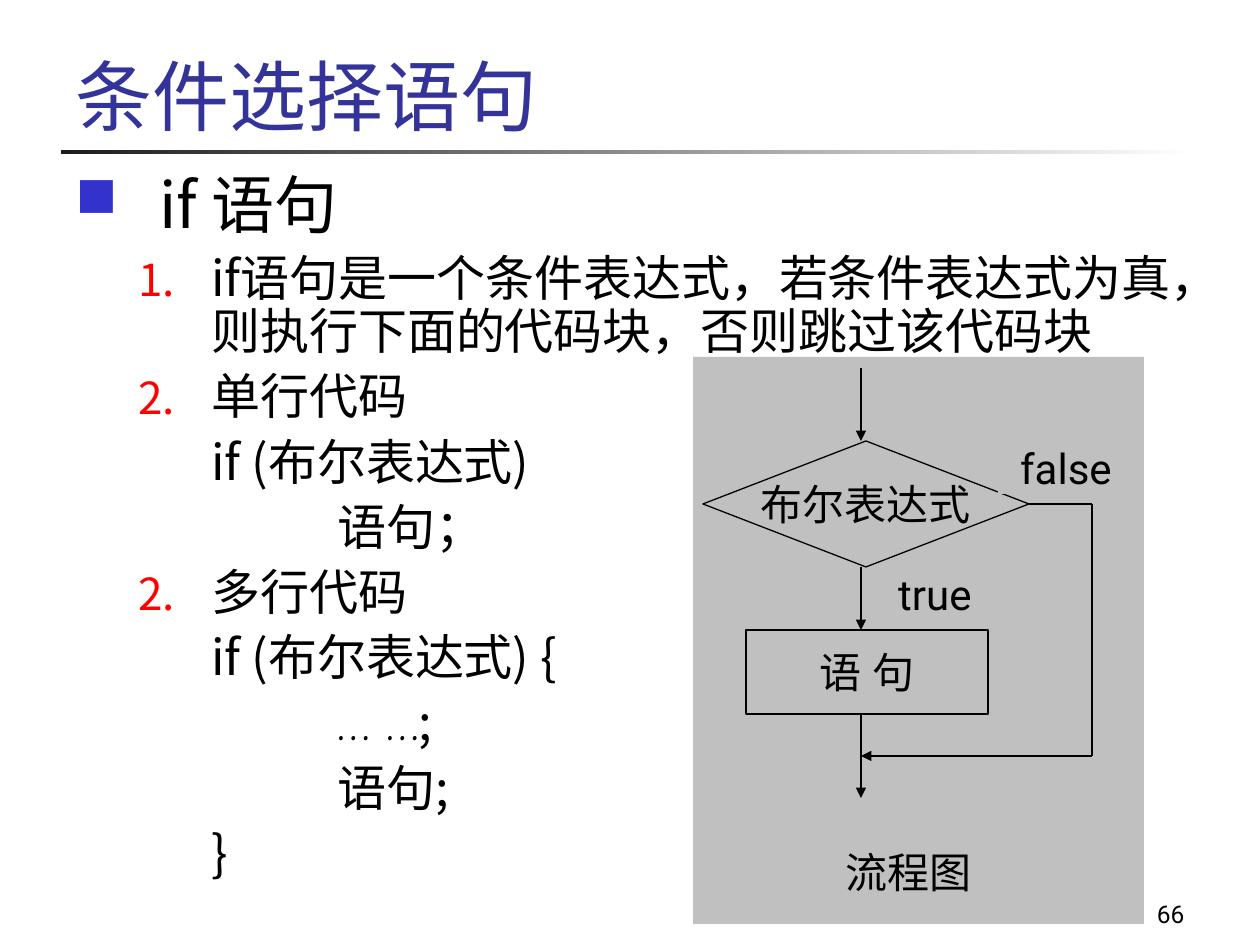
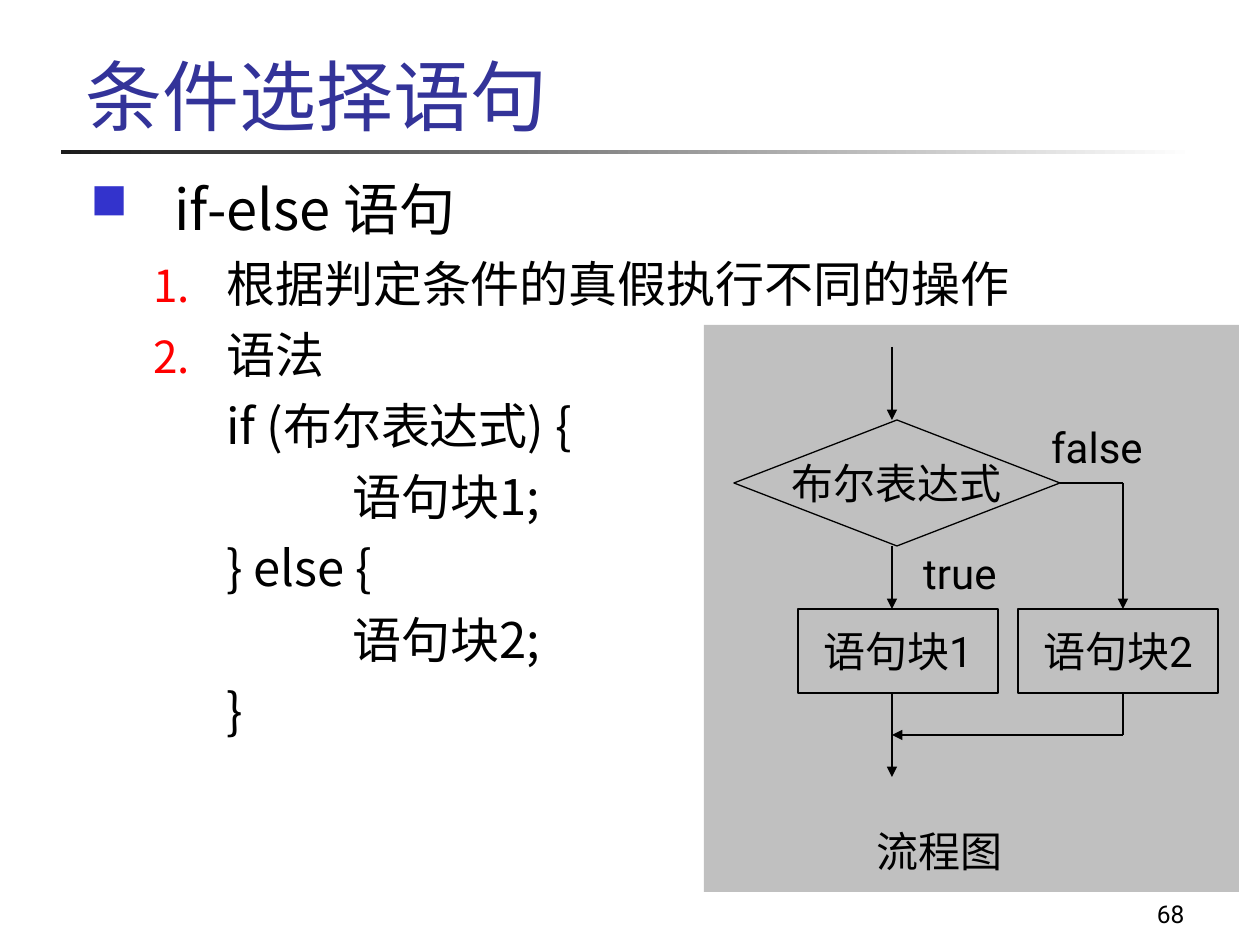
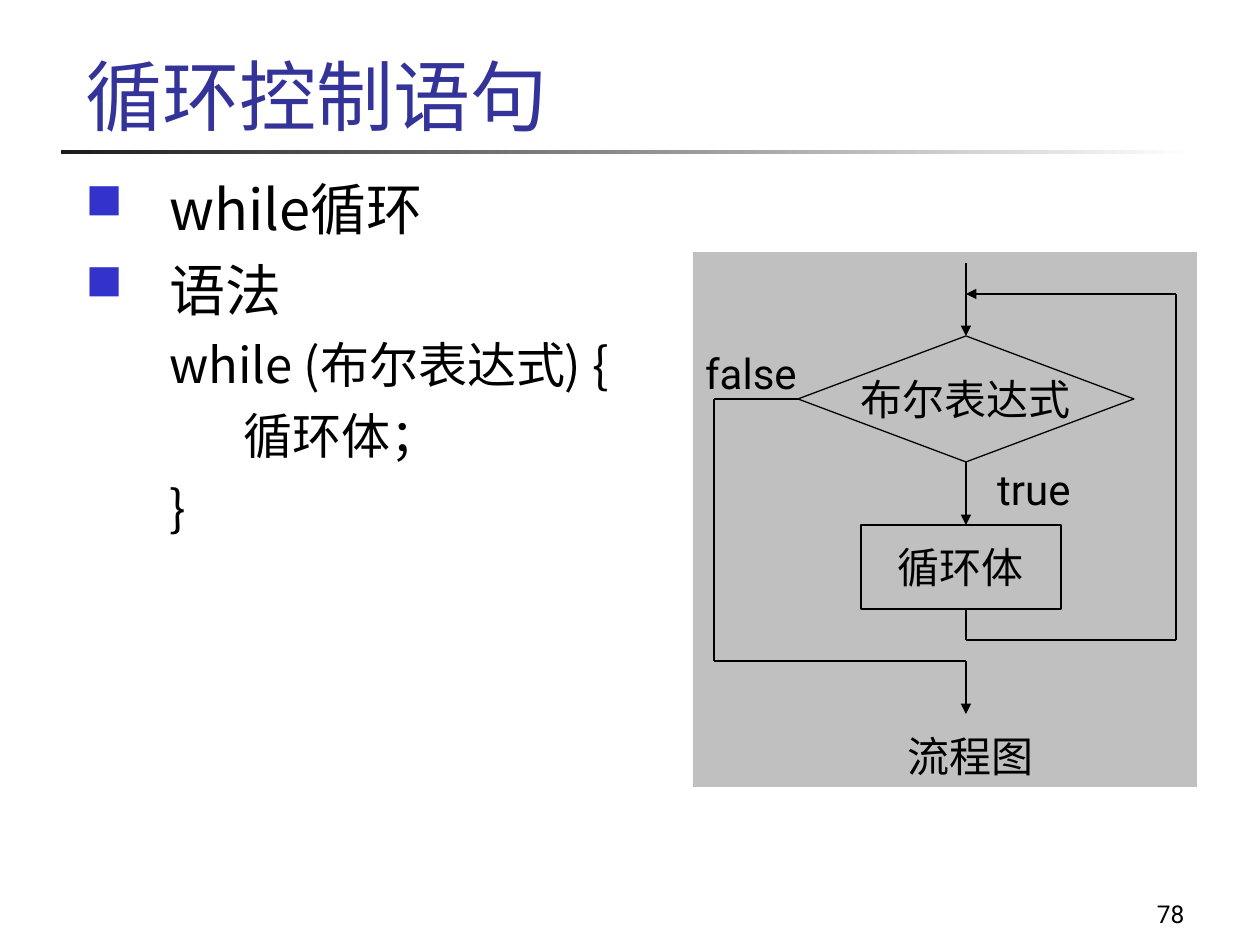
"""Build three slides on conditional and loop statements, each with a flowchart."""
import lxml.etree
import pptx
import pptx.dml.color
import pptx.enum.shapes
import pptx.enum.text
import pptx.oxml.ns
import pptx.util

PIXEL = 914400 // 126
BODY_FONT, LABEL_FONT, DOTS_FONT = "Noto Sans CJK JP", "Roboto", "Comic Neue"
BLACK, TITLE_BLUE, BULLET_BLUE, RED = "000000", "333399", "3333CC", "FF0000"
PANEL_GRAY, RULE_DARK, WHITE = "C0C0C0", "1C1C1C", "FFFFFF"
RECTANGLE = pptx.enum.shapes.MSO_SHAPE.RECTANGLE
DIAMOND = pptx.enum.shapes.MSO_SHAPE.DIAMOND
ALIGN = pptx.enum.text.PP_ALIGN
ANCHOR = pptx.enum.text.MSO_ANCHOR

DOTS = "… …"
DIAMOND_HEIGHT, STEP_TOP, STEP_HEIGHT, LABEL_HEIGHT = 126, 189, 84, 53

# style: (level, left margin, first line indent, bullet)
STYLES = {
    "head": (0, 84, -84, "square"),
    "item": (1, 136, -73, "number"),
    "code": (1, 136, 0, None),
    "inner": (1, 262, 0, None),
    "loop": (1, 84, 0, None),
    "loop inner": (1, 158, 0, None),
}

SLIDES = [
    {
        "title": "条件选择语句", "title_left": 63, "page": "66",
        "body_box": (63, 168, 1144, 746), "head_size": 36, "spacing": 0.9,
        "body": [
            ("head", ["if 语句"]),
            ("item", ["if语句是一个条件表达式，若条件表达式为真，则执行下面的代码块，否则跳过该代码块"]),
            ("item", ["单行代码"]),
            ("code", ["if (布尔表达式) "]),
            ("inner", ["语句；"]),
            ("item", ["多行代码"], 2),
            ("code", ["if (布尔表达式) {"]),
            ("inner", [DOTS, ";"]),
            ("inner", ["语句;"]),
            ("code", ["}"]),
        ],
        "chart": {
            "panel": (693, 357, 451, 567), "axis": 861, "top": 441, "fill": PANEL_GRAY,
            "diamond": (-158, 326), "steps": [("语 句", -115, 242)],
            "labels": [("false", 137, 0, 136), ("true", 11, 126, 126), ("流程图", -73, 399, 242)],
            "routes": [
                [(0, 273), (0, 357)],
                [(168, 63), (231, 63), (231, 315), (0, 315)],
            ],
        },
    },
    {
        "title": "条件选择语句", "title_left": 73, "page": "68",
        "body_box": (78, 168, 1150, 746), "head_size": 32, "spacing": 1.0,
        "body": [
            ("head", ["if-else 语句"]),
            ("item", ["根据判定条件的真假执行不同的操作"]),
            ("item", ["语法"]),
            ("code", ["if (布尔表达式) {"]),
            ("inner", ["语句块1;"]),
            ("code", ["} else {"]),
            ("inner", ["语句块2;"]),
            ("code", ["}"]),
        ],
        "chart": {
            "panel": (704, 325, 535, 567), "axis": 892, "top": 420, "fill": None,
            "diamond": (-158, 326), "steps": [("语句块1", -94, 200), ("语句块2", 126, 200)],
            "labels": [("false", 137, 0, 136), ("true", 0, 126, 136), ("流程图", -73, 399, 242)],
            "routes": [
                [(0, 273), (0, 357)],
                [(168, 63), (231, 63), (231, 189)],
                [(231, 273), (231, 315), (0, 315)],
            ],
        },
    },
    {
        "title": "循环控制语句", "title_left": 73, "page": "78",
        "body_box": (73, 168, 1119, 746), "head_size": 32, "spacing": 1.0,
        "body": [
            ("head", ["while循环"]),
            ("head", ["语法"]),
            ("loop", ["while (布尔表达式) {"]),
            ("loop inner", ["循环体；"]),
            ("loop", ["}"]),
        ],
        "chart": {
            "panel": (693, 252, 504, 535), "axis": 966, "top": 336, "fill": None,
            "diamond": (-168, 336), "steps": [("循环体", -105, 200)],
            "labels": [("false", -283, 10, 136), ("true", 10, 126, 116), ("流程图", -116, 388, 242)],
            "routes": [
                [(-168, 63), (-252, 63), (-252, 325), (0, 325), (0, 378)],
                [(0, 273), (0, 304), (210, 304), (210, -42), (0, -42)],
            ],
        },
    },
]


def color(value):
    return pptx.dml.color.RGBColor.from_string(value)


def emu(*pixels):
    return [pptx.util.Emu(pixel * PIXEL) for pixel in pixels]


def add_element(parent, tag, **attributes):
    element = lxml.etree.SubElement(parent, pptx.oxml.ns.qn(tag))
    for name, value in attributes.items():
        element.set(name, str(value))
    return element


def format_runs(paragraph, size, font, font_color=BLACK):
    for run in paragraph.runs:
        typeface = DOTS_FONT if run.text == DOTS else font
        run.font.size = pptx.util.Pt(size)
        run.font.name = typeface
        run.font.color.rgb = color(font_color)
        add_element(run.font._element, "a:ea", typeface=typeface)


def add_text_box(slide, box, anchor=ANCHOR.TOP):
    frame = slide.shapes.add_textbox(*emu(*box)).text_frame
    frame.word_wrap = True
    frame.vertical_anchor = anchor
    return frame


def add_line_of_text(slide, box, text, size, font, font_color=BLACK, align=ALIGN.LEFT):
    paragraph = add_text_box(slide, box, ANCHOR.BOTTOM).paragraphs[0]
    paragraph.text = text
    paragraph.alignment = align
    format_runs(paragraph, size, font, font_color)


def add_frame(slide, content):
    rule = slide.shapes.add_shape(RECTANGLE, *emu(61, 150, 1134, 4))
    rule.shadow.inherit = False
    rule.line.fill.background()
    rule.fill.gradient()
    rule.fill.gradient_angle = 0
    for stop, value in zip(rule.fill.gradient_stops, (RULE_DARK, WHITE)):
        stop.color.rgb = color(value)
    add_line_of_text(slide, (935, 872, 262, 63), content["page"], 14, LABEL_FONT, align=ALIGN.RIGHT)
    title_box = (content["title_left"], 31, 1074, 116)
    add_line_of_text(slide, title_box, content["title"], 44, BODY_FONT, TITLE_BLUE)


def add_bullet(properties, bullet, start):
    bullet_color = add_element(properties, "a:buClr")
    add_element(bullet_color, "a:srgbClr", val=BULLET_BLUE if bullet == "square" else RED)
    add_element(properties, "a:buSzPct", val=90000)
    if bullet == "square":
        add_element(properties, "a:buFont", typeface="Wingdings", charset=2)
        add_element(properties, "a:buChar", char="n")
    else:
        number = add_element(properties, "a:buAutoNum", type="arabicPeriod")
        if start:
            number.set("startAt", str(start))


def add_body(slide, content):
    frame = add_text_box(slide, content["body_box"])
    for index, (style, texts, *start) in enumerate(content["body"]):
        paragraph = frame.add_paragraph() if index else frame.paragraphs[0]
        level, margin, indent, bullet = STYLES[style]
        size = 28 if level else content["head_size"]
        paragraph.level = level
        paragraph.line_spacing = content["spacing"]
        paragraph.space_before = pptx.util.Pt(size // 4)
        for text in texts:
            paragraph.add_run().text = text
        format_runs(paragraph, size, BODY_FONT)
        properties = paragraph._p.get_or_add_pPr()
        properties.set("marL", str(margin * PIXEL))
        properties.set("indent", str(indent * PIXEL))
        if bullet:
            add_bullet(properties, bullet, start[0] if start else None)


def add_node(slide, kind, box, text="", fill=None, outlined=False):
    shape = slide.shapes.add_shape(kind, *emu(*box))
    shape.shadow.inherit = False
    if fill:
        shape.fill.solid()
        shape.fill.fore_color.rgb = color(fill)
    else:
        shape.fill.background()
    if outlined:
        shape.line.color.rgb = color(BLACK)
        shape.line.width = pptx.util.Pt(0.74)
    else:
        shape.line.fill.background()
    if text:
        frame = shape.text_frame
        frame.text = text
        frame.word_wrap = False
        frame.vertical_anchor = ANCHOR.MIDDLE
        frame.paragraphs[0].alignment = ALIGN.CENTER
        format_runs(frame.paragraphs[0], 24, LABEL_FONT)


def add_route(slide, points):
    """Draw a chain of straight lines that ends in an arrowhead."""
    for start, end in zip(points, points[1:]):
        connector = slide.shapes.add_connector(
            pptx.enum.shapes.MSO_CONNECTOR.STRAIGHT, *emu(*start, *end))
        connector.line.color.rgb = color(BLACK)
        connector.line.width = pptx.util.Pt(0.74)
        if end == points[-1]:
            add_element(connector.line._get_or_add_ln(), "a:tailEnd", type="triangle")
        add_element(connector._element.spPr, "a:effectLst")


def add_flowchart(slide, chart):
    axis, top, fill = chart["axis"], chart["top"], chart["fill"]
    add_node(slide, RECTANGLE, chart["panel"], fill=PANEL_GRAY)
    for text, left, width in chart["steps"]:
        box = (axis + left, top + STEP_TOP, width, STEP_HEIGHT)
        add_node(slide, RECTANGLE, box, text, fill, outlined=True)
    left, width = chart["diamond"]
    add_node(slide, DIAMOND, (axis + left, top, width, DIAMOND_HEIGHT), "布尔表达式", fill, outlined=True)
    common = [[(0, -73), (0, 0)], [(0, DIAMOND_HEIGHT), (0, STEP_TOP)]]
    for route in common + chart["routes"]:
        add_route(slide, [(axis + x, top + y) for x, y in route])
    for text, left, offset, width in chart["labels"]:
        height = 63 if text == "流程图" else LABEL_HEIGHT
        add_node(slide, RECTANGLE, (axis + left, top + offset, width, height), text, fill)


presentation = pptx.Presentation()
presentation.slide_width, presentation.slide_height = emu(1260, 945)
for content in SLIDES:
    slide = presentation.slides.add_slide(presentation.slide_layouts[6])
    add_frame(slide, content)
    add_body(slide, content)
    add_flowchart(slide, content["chart"])
presentation.save("out.pptx")
